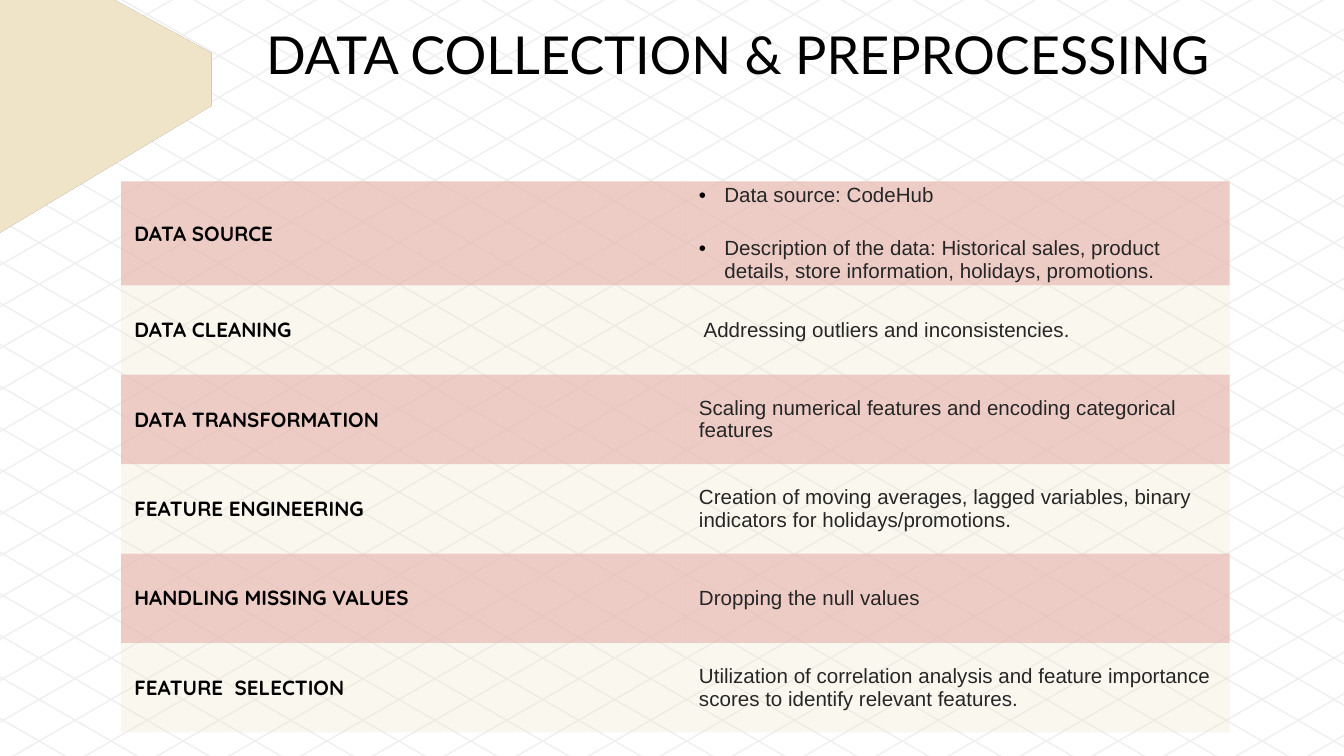
from math import radians, tan

from lxml.etree import SubElement
from pptx import Presentation
from pptx.dml.color import RGBColor
from pptx.enum.shapes import MSO_CONNECTOR as CONN
from pptx.enum.text import MSO_ANCHOR as ANCHOR
from pptx.oxml.ns import qn
from pptx.util import Cm, Pt


def rgb(code):
    return RGBColor.from_string(code)


def bezier(p0, p1, p2, p3, steps=12):
    """Points along a cubic curve, both ends included."""
    points = []
    for i in range(steps + 1):
        t = i / steps
        weights = ((1 - t) ** 3, 3 * t * (1 - t) ** 2, 3 * t * t * (1 - t), t ** 3)
        points.append(tuple(sum(w * p[axis] for w, p in zip(weights, (p0, p1, p2, p3)))
                            for axis in (0, 1)))
    return points


prs = Presentation()
prs.slide_width, prs.slide_height = Cm(25.4), Cm(14.29)
s = prs.slides.add_slide(prs.slide_layouts[6])

# Background lattice: parallel 30 degree lines, then the same set flipped upside down
SLOPE = tan(radians(30))
LEFT, RIGHT, TOP, BOTTOM = -0.9, 25.7, -0.33, 14.9
for flipped in (False, True):
    for i in range(37):
        y_edge = 0.77 + 0.785 * i  # height at the slide's right edge
        ends = []
        for x in (min(RIGHT, 25.4 + (BOTTOM - y_edge) / SLOPE),
                  max(LEFT, 25.4 + (TOP - y_edge) / SLOPE)):
            y = y_edge + (x - 25.4) * SLOPE
            ends += [Cm(x + 0.64), Cm(14.3 - y)] if flipped else [Cm(x), Cm(y)]
        line = s.shapes.add_connector(CONN.STRAIGHT, *ends)
        line.line.color.rgb = rgb("EFEFEF")
        line.line.width = Pt(0.75)
        SubElement(line._element.spPr, qn("a:effectLst"))

# Corner tile: dark edge below, sand face above
edge = [(-6.6, -5.13),
        *bezier((4.06, 1.07), (4.27, 1.19), (4.39, 1.19), (4.42, 1.35)),
        *bezier((4.42, 1.6), (4.42, 1.8), (4.29, 1.98), (4.04, 2.13)),
        (-0.53, 4.78), (-6.6, 4.78)]
face = [(-6.6, -5.36),
        *bezier((4.06, 0.84), (4.55, 1.14), (4.55, 1.6), (4.04, 1.91)),
        (-0.91, 4.78), (-6.6, 4.78)]
for points, color in ((edge, "686868"), (face, "EFE4C8")):
    builder = s.shapes.build_freeform(*points[0], scale=Cm(1))
    builder.add_line_segments(points[1:], close=True)
    sp = builder.convert_to_shape()
    sp.shadow.inherit = False
    sp.fill.solid()
    sp.fill.fore_color.rgb = rgb(color)
    sp.line.fill.background()

# Title
tf = s.shapes.add_textbox(Cm(4.78), Cm(0.3), Cm(19.53), Cm(1.45)).text_frame
tf.word_wrap = True
r = tf.paragraphs[0].add_run()
r.text = "DATA COLLECTION & PREPROCESSING"
for name, value in {"name": "Lato", "size": Pt(28)}.items():
    setattr(r.font, name, value)
r.font.color.rgb = rgb("000000")

# Table of steps
ROWS = [
    ("DATA SOURCE", ["Data source: CodeHub",
                     "Description of the data: Historical sales, product details, "
                     "store information, holidays, promotions."]),
    ("DATA CLEANING", [" Addressing outliers and inconsistencies."]),
    ("DATA TRANSFORMATION", ["Scaling numerical features and encoding categorical features"]),
    ("FEATURE ENGINEERING", ["Creation of moving averages, lagged variables, binary "
                             "indicators for holidays/promotions."]),
    ("HANDLING MISSING VALUES", ["Dropping the null values"]),
    ("FEATURE  SELECTION", ["Utilization of correlation analysis and feature importance "
                            "scores to identify relevant features."]),
]
BANDS = [("E6B8AF", 71), ("EFE4C8", 28)]  # colour, opacity in percent
FORMATS = [({"name": "Quicksand", "size": Pt(11), "bold": True}, "000000"),
           ({"name": "Arial", "size": Pt(11), "bold": False}, "262626")]
CELL = {"vertical_anchor": ANCHOR.MIDDLE, "margin_left": Cm(0.25),
        "margin_right": Cm(0.25), "margin_top": 0, "margin_bottom": 0}

table = s.shapes.add_table(len(ROWS), 2, Cm(2.29), Cm(3.43), Cm(20.95), Cm(10.14)).table
table.first_row = table.horz_banding = False
NO_STYLE = "{2D5ABB26-0587-4C30-8999-92F81FD0307C}"
table._tbl.tblPr.find(qn("a:tableStyleId")).text = NO_STYLE
for column, width in zip(table.columns, (10.67, 10.28)):
    column.width = Cm(width)

for i, (step, details) in enumerate(ROWS):
    table.rows[i].height = Cm(1.69)
    color, opacity = BANDS[i % 2]
    for j, texts in enumerate(([step], details)):
        cell = table.cell(i, j)
        for name, value in CELL.items():
            setattr(cell, name, value)
        cell.fill.solid()
        cell.fill.fore_color.rgb = rgb(color)
        srgb = cell._tc.tcPr.find(".//" + qn("a:srgbClr"))
        SubElement(srgb, qn("a:alpha"), val=str(opacity * 1000))
        tf = cell.text_frame
        font_format, font_color = FORMATS[j]
        for k, text in enumerate(texts):
            p = tf.add_paragraph() if k else tf.paragraphs[0]
            r = p.add_run()
            r.text = text
            for name, value in font_format.items():
                setattr(r.font, name, value)
            r.font.color.rgb = rgb(font_color)
            if j:
                p.space_after = Pt(16)
            if len(texts) > 1:
                pPr = p._p.get_or_add_pPr()
                pPr.set("marL", str(Cm(0.48)))
                pPr.set("indent", str(-Cm(0.48)))
                bullet_color = SubElement(pPr, qn("a:buClr"))
                SubElement(bullet_color, qn("a:srgbClr"), val="000000")
                SubElement(pPr, qn("a:buFont"), typeface="Arial")
                SubElement(pPr, qn("a:buChar"), char="•")

prs.save("out.pptx")
